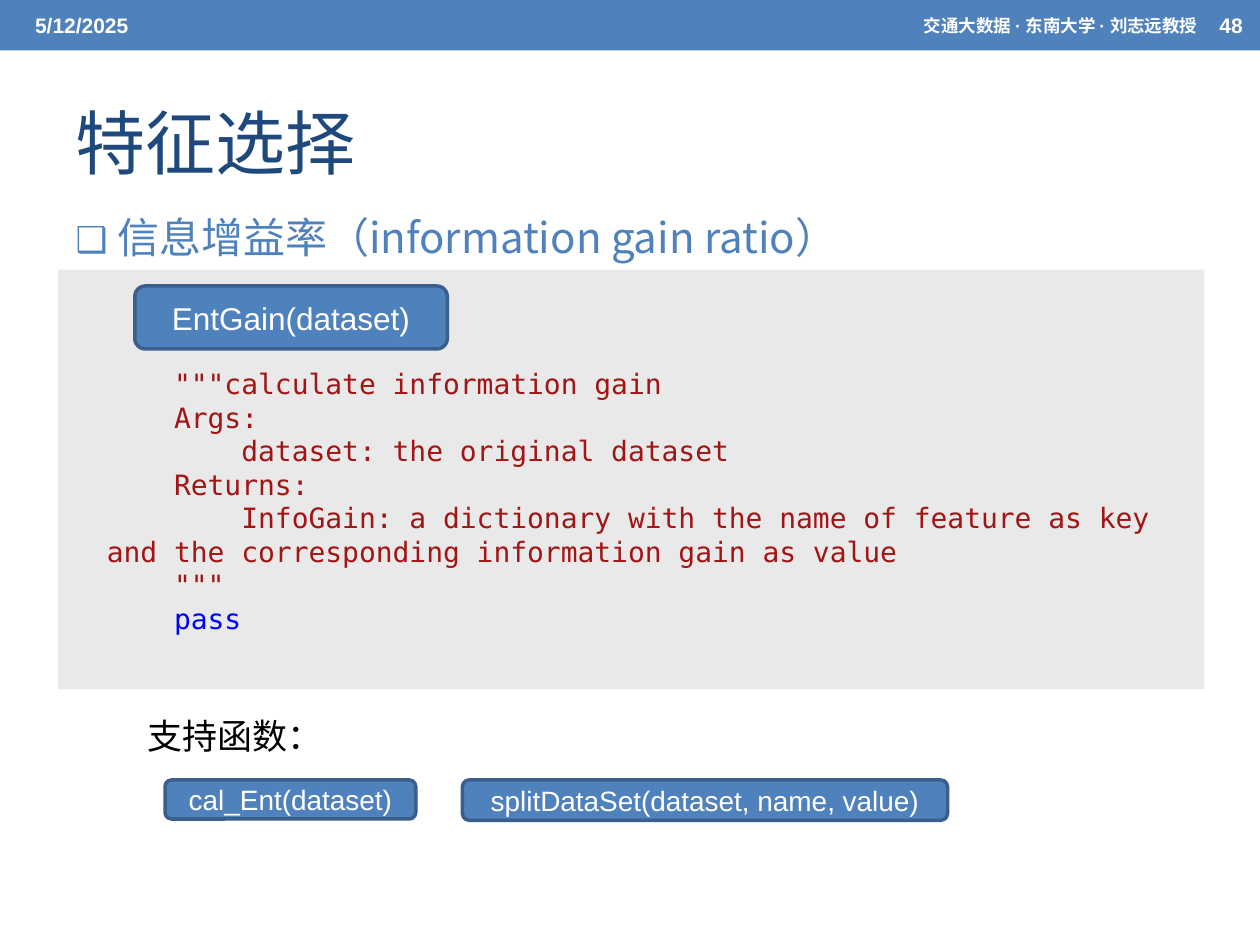
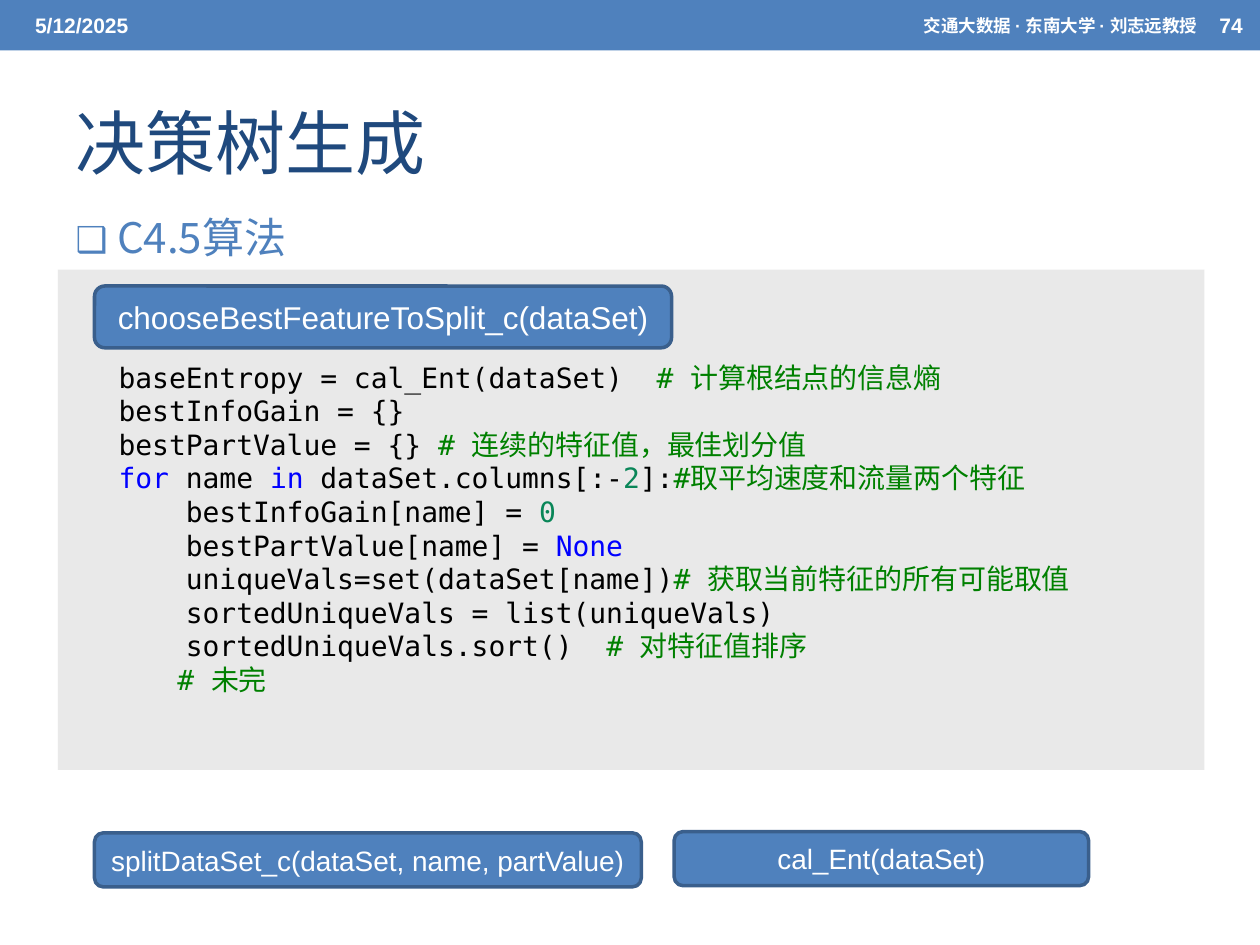
from lxml import etree
from pptx import Presentation
from pptx import util as u
from pptx.dml.color import RGBColor
from pptx.enum import shapes, text
from pptx.oxml.ns import qn

HEX = {
    "blue": "4F81BD", "edge": "3A5F8C", "navy": "1F497D", "grey": "BFBFBF",
    "white": "FFFFFF", "black": "000000", "doc": "A31515", "key": "0000FF",
    "note": "008000", "num": "098658",
}
SANS, MONO, HAN = "Arial", "DejaVu Sans Mono", "Noto Sans CJK SC"
COLS, ROWS = 100, 75
LEFT, RIGHT = text.PP_ALIGN.LEFT, text.PP_ALIGN.RIGHT
MID, TOP = text.MSO_ANCHOR.MIDDLE, text.MSO_ANCHOR.TOP


def rgb(name):
    return RGBColor.from_string(HEX[name])


def sub(node, tag, **attrs):
    return etree.SubElement(node, qn(tag), attrs)


class Deck:
    """Style and current slide; lengths are columns and rows of the grid."""

    def __init__(self):
        self.prs = Presentation()
        self.prs.slide_width, self.prs.slide_height = u.Inches(10), u.Inches(7.5)
        self.slide = None

    def area(self, x, y, w, h):
        col, row = self.prs.slide_width / COLS, self.prs.slide_height / ROWS
        return [round(v) for v in (x * col, y * row, w * col, h * row)]

    def style(self, par, face, size, color=None, bold=False, align=LEFT):
        par.alignment = align
        font = par.font
        font.name, font.size, font.bold = face, u.Pt(size), bold
        if color:
            font.color.rgb = rgb(color)
        sub(par._p.pPr.find(qn("a:defRPr")), "a:ea", typeface=HAN)

    def frame(self, shape, anchor=TOP, wrap=True):
        tf = shape.text_frame
        tf.auto_size = text.MSO_AUTO_SIZE.NONE
        tf.word_wrap, tf.vertical_anchor = wrap, anchor
        return tf

    def shape(self, kind, cell, fill, line=None):
        item = self.slide.shapes.add_shape(kind, *self.area(*cell))
        item.shadow.inherit = False
        item.fill.solid()
        item.fill.fore_color.rgb = rgb(fill)
        if line:
            item.line.color.rgb, item.line.width = rgb(line), u.Pt(2)
        else:
            item.line.fill.background()
        return item

    def label(self, words, cell, face, size, color, anchor=TOP, wrap=True, **kw):
        box = self.slide.shapes.add_textbox(*self.area(*cell))
        par = self.frame(box, anchor, wrap).paragraphs[0]
        par.text = words
        self.style(par, face, size, color, **kw)

    def holder(self, item, words, cell, anchor):
        item.left, item.top, item.width, item.height = self.area(*cell)
        par = self.frame(item, anchor).paragraphs[0]
        par.text = words
        return par

    def page(self, title, topic, num):
        """Start a slide with its header band, title and bulleted topic."""
        self.slide = self.prs.slides.add_slide(self.prs.slide_layouts[1])
        head, body = self.slide.placeholders
        par = self.holder(head, title, (5, 5.8, 90, 10.8), MID)
        self.style(par, HAN, 40, "navy")
        par = self.holder(body, topic, (5, 14.3, 88.9, 7.1), TOP)
        par.line_spacing, par.space_before = 1.5, u.Pt(0)
        self.bullet(par)
        self.style(par, HAN, 24, "blue")

        self.shape(shapes.MSO_SHAPE.RECTANGLE, (0, 0, COLS, 4), "blue")
        for words, x, w, size, align in (
            ("5/12/2025", 1.8, 31.7, 12, LEFT),
            ("交通大数据 · 东南大学 · 刘志远教授", 43.2, 52.8, 10, RIGHT),
            (num, 95.8, 4.2, 12, LEFT),
        ):
            self.label(words, (x, 0.2, w, 3.6), SANS, size, "white",
                       anchor=MID, bold=True, align=align)

    def bullet(self, par):
        ppr = par._p.get_or_add_pPr()
        gap = u.Inches(0.33)
        ppr.set("marL", str(gap))
        ppr.set("indent", str(-gap))
        sub(sub(ppr, "a:buClr"), "a:srgbClr", val=HEX["blue"])
        sub(ppr, "a:buSzPct", val="85000")
        sub(ppr, "a:buFont", typeface=HAN)
        sub(ppr, "a:buChar", char="❑")

    def panel(self, rows):
        item = self.shape(shapes.MSO_SHAPE.RECTANGLE, (4.6, 21.4, 91, rows), "grey")
        tint = item.fill._xPr.find(qn("a:solidFill"))[0]
        sub(tint, "a:alpha", val="34000")

    def pill(self, words, cell, size=16):
        item = self.shape(shapes.MSO_SHAPE.ROUNDED_RECTANGLE, cell, "blue", "edge")
        tf = self.frame(item, MID)
        tf.margin_left = tf.margin_right = 0
        par = tf.paragraphs[0]
        par.text = words
        self.style(par, SANS, size, "white", align=text.PP_ALIGN.CENTER)

    def code(self, lines, cell, tail=None):
        """Each line is a list of (colour, words); tail is a last, indented note."""
        box = self.slide.shapes.add_textbox(*self.area(*cell))
        tf = self.frame(box)
        rows = lines + ([[("note", tail)]] if tail else [])
        for i, line in enumerate(rows):
            par = tf.add_paragraph() if i else tf.paragraphs[0]
            self.style(par, MONO, 16)
            for color, words in line:
                run = par.add_run()
                run.text = words
                run.font.color.rgb = rgb(color)
        if tail:
            par._p.pPr.set("marL", str(u.Inches(1)))


GAIN = [[("doc", line)] for line in (
    '    """calculate information gain',
    "    Args:",
    "        dataset: the original dataset",
    "    Returns:",
    "        InfoGain: a dictionary with the name of feature as key"
    " and the corresponding information gain as value",
    '    """',
)] + [[("key", "    pass")]]

SPLIT = [
    [("black", "    baseEntropy = cal_Ent(dataSet)  "), ("note", "# 计算根结点的信息熵")],
    [("black", "    bestInfoGain = {}")],
    [("black", "    bestPartValue = {} "), ("note", "# 连续的特征值，最佳划分值")],
    [("key", "    for"), ("black", " name "), ("key", "in "),
     ("black", "dataSet.columns[:-"), ("num", "2"), ("black", "]:"),
     ("note", "#取平均速度和流量两个特征")],
    [("black", "        bestInfoGain[name] = "), ("num", "0")],
    [("black", "        bestPartValue[name] = "), ("key", "None")],
    [("black", "        uniqueVals=set(dataSet[name])"),
     ("note", "# 获取当前特征的所有可能取值")],
    [("black", "        sortedUniqueVals = list(uniqueVals)")],
    [("black", "        sortedUniqueVals.sort()  "), ("note", "# 对特征值排序")],
]


def main():
    deck = Deck()

    deck.page("特征选择", "信息增益率（information gain ratio）", "48")
    deck.panel(33.3)
    deck.code(GAIN, (7.5, 28.6, 86.3, 22.6))
    deck.pill("EntGain(dataset)", (10.7, 22.7, 24.8, 5), 18)
    deck.pill("cal_Ent(dataset)", (13.1, 61.9, 19.9, 3.1))
    deck.pill("splitDataSet(dataset, name, value)", (36.7, 61.9, 38.5, 3.2))
    deck.label("支持函数：", (10.7, 56.2, 16, 4.4), HAN, 20, "black", wrap=False)

    deck.page("决策树生成", "C4.5算法", "74")
    deck.panel(39.7)
    deck.code(SPLIT, (3.1, 28.1, 92.6, 27.9), tail="# 未完")
    deck.pill("chooseBestFeatureToSplit_c(dataSet)", (7.5, 22.7, 45.8, 4.9), 18)
    deck.pill("splitDataSet_c(dataSet, name, partValue)", (7.5, 66.1, 43.4, 4.3))
    deck.pill("cal_Ent(dataSet)", (53.5, 66, 32.9, 4.3))

    deck.prs.save("out.pptx")


if __name__ == "__main__":
    main()
